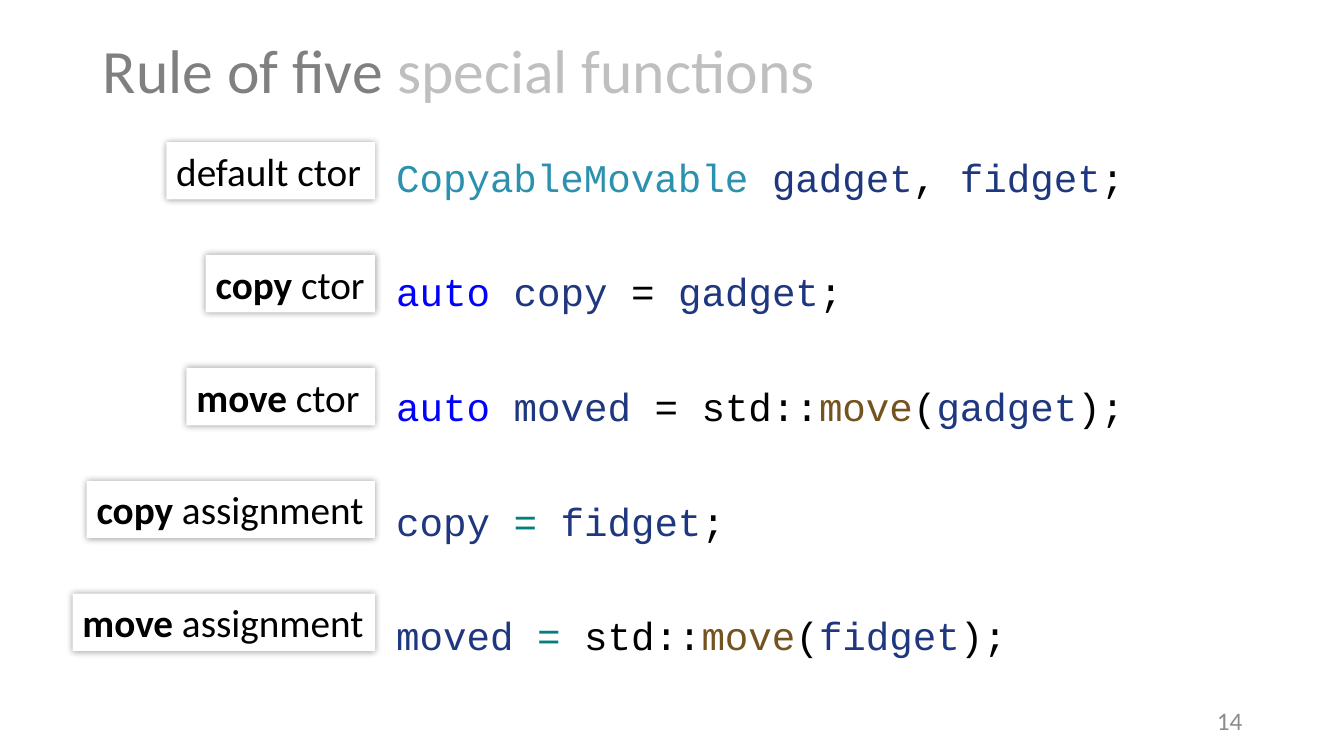
"""Build the slide on the rule of five special functions."""
from dataclasses import dataclass

from lxml.etree import SubElement
from pptx import Presentation
from pptx.dml.color import RGBColor
from pptx.enum.shapes import MSO_SHAPE
from pptx.enum.text import MSO_ANCHOR, MSO_AUTO_SIZE, PP_ALIGN
from pptx.oxml.ns import qn
from pptx.util import Inches, Pt

COLORS = {
    "title": "808080", "pale": "BFBFBF", "page": "8C8C8C",
    "white": "FFFFFF", "plain": "000000", "type": "2B91AF",
    "var": "1F377F", "word": "0000FF", "func": "74531F", "oper": "008080",
}
TOP, PITCH, HIGH, RIGHT = 1.41, 1.12, 0.57, 3.72


@dataclass(frozen=True)
class Run:
    text: str
    color: str = "plain"
    bold: bool = False


@dataclass(frozen=True)
class Row:
    width: float
    label: tuple[Run, ...]
    code: tuple[Run, ...]


GADGET, FIDGET = Run("gadget", "var"), Run("fidget", "var")
COPY, MOVED = Run("copy", "var"), Run("moved", "var")
AUTO, MOVE = Run("auto", "word"), Run("move", "func")
EQUAL, SPACE, END = Run("=", "oper"), Run(" "), Run(";")
OPEN, CLOSE = Run("("), Run(");")

ROWS = (
    Row(2.07, (Run("default ctor"),),
        (Run("CopyableMovable", "type"), SPACE, GADGET, Run(", "), FIDGET, END)),
    Row(1.68, (Run("copy ", bold=True), Run("ctor")),
        (AUTO, SPACE, COPY, Run(" = "), GADGET, END)),
    Row(1.87, (Run("move ", bold=True), Run("ctor")),
        (AUTO, SPACE, MOVED, Run(" = std::"), MOVE, OPEN, GADGET, CLOSE)),
    Row(2.86, (Run("copy", bold=True), Run(" assignment")),
        (COPY, SPACE, EQUAL, SPACE, FIDGET, END)),
    Row(3.0, (Run("move", bold=True), Run(" assignment")),
        (MOVED, SPACE, EQUAL, Run(" std::"), MOVE, OPEN, FIDGET, CLOSE)),
)


def paint(name: str) -> RGBColor:
    """Return a named colour."""
    return RGBColor.from_string(COLORS[name])


def write(para, runs: tuple[Run, ...], size: float, face: str = "Calibri") -> None:
    """Fill a paragraph with coloured runs."""
    para.font.size = Pt(size)
    para.font.name = face
    for item in runs:
        run = para.add_run()
        run.text = item.text
        run.font.color.rgb = paint(item.color)
        if item.bold:
            run.font.bold = True


def add_box(slide, left: float, top: float, width: float, height: float,
            anchor: MSO_ANCHOR = MSO_ANCHOR.MIDDLE):
    """Add a wrapping text box and return its text frame."""
    box = slide.shapes.add_textbox(*map(Inches, (left, top, width, height)))
    frame = box.text_frame
    frame.word_wrap = True
    frame.vertical_anchor = anchor
    return frame


def add_glow(shape) -> None:
    """Give a shape a soft, centred shadow."""
    shape.shadow.inherit = False
    effects = shape.element.spPr.find(qn("a:effectLst"))
    outer = SubElement(effects, qn("a:outerShdw"), blurRad=str(Pt(5)),
                       dist="0", dir="0", algn="ctr", rotWithShape="0")
    color = SubElement(outer, qn("a:srgbClr"), val=COLORS["plain"])
    SubElement(color, qn("a:alpha"), val="40000")


def add_label(slide, row: Row, top: float) -> None:
    """Draw the white label of one row, flush at its right edge."""
    shape = slide.shapes.add_shape(
        MSO_SHAPE.RECTANGLE,
        *map(Inches, (RIGHT - row.width, top, row.width, HIGH)))
    shape.fill.solid()
    shape.fill.fore_color.rgb = paint("white")
    shape.line.fill.background()
    add_glow(shape)
    frame = shape.text_frame
    frame.word_wrap = True
    frame.auto_size = MSO_AUTO_SIZE.SHAPE_TO_FIT_TEXT
    frame.vertical_anchor = MSO_ANCHOR.TOP
    para = frame.paragraphs[0]
    para.alignment = PP_ALIGN.LEFT
    write(para, row.label, 28)


def add_code(slide) -> None:
    """Write the code lines, one beside each label."""
    frame = add_box(slide, 3.83, 1.52, 8.58, 5.43, MSO_ANCHOR.TOP)
    for num, row in enumerate(ROWS):
        para = frame.add_paragraph() if num else frame.paragraphs[0]
        para.line_spacing = 0.9
        if num:
            para.space_before = Pt(51.7)
        write(para, row.code, 28, "Courier New")


def main() -> None:
    """Build and save the slide."""
    deck = Presentation()
    deck.slide_width, deck.slide_height = Inches(13.33), Inches(7.5)
    slide = deck.slides.add_slide(deck.slide_layouts[6])
    title = add_box(slide, 0.92, 0, 11.5, 1.45).paragraphs[0]
    title.line_spacing = 0.9
    write(title, (Run("Rule of five ", "title"),
                  Run("special functions", "pale")), 44)
    add_code(slide)
    page = add_box(slide, 9.42, 6.95, 3, 0.4).paragraphs[0]
    page.alignment = PP_ALIGN.RIGHT
    write(page, (Run("14", "page"),), 18)
    for num, row in enumerate(ROWS):
        add_label(slide, row, TOP + num * PITCH)
    deck.save("out.pptx")


if __name__ == "__main__":
    main()
